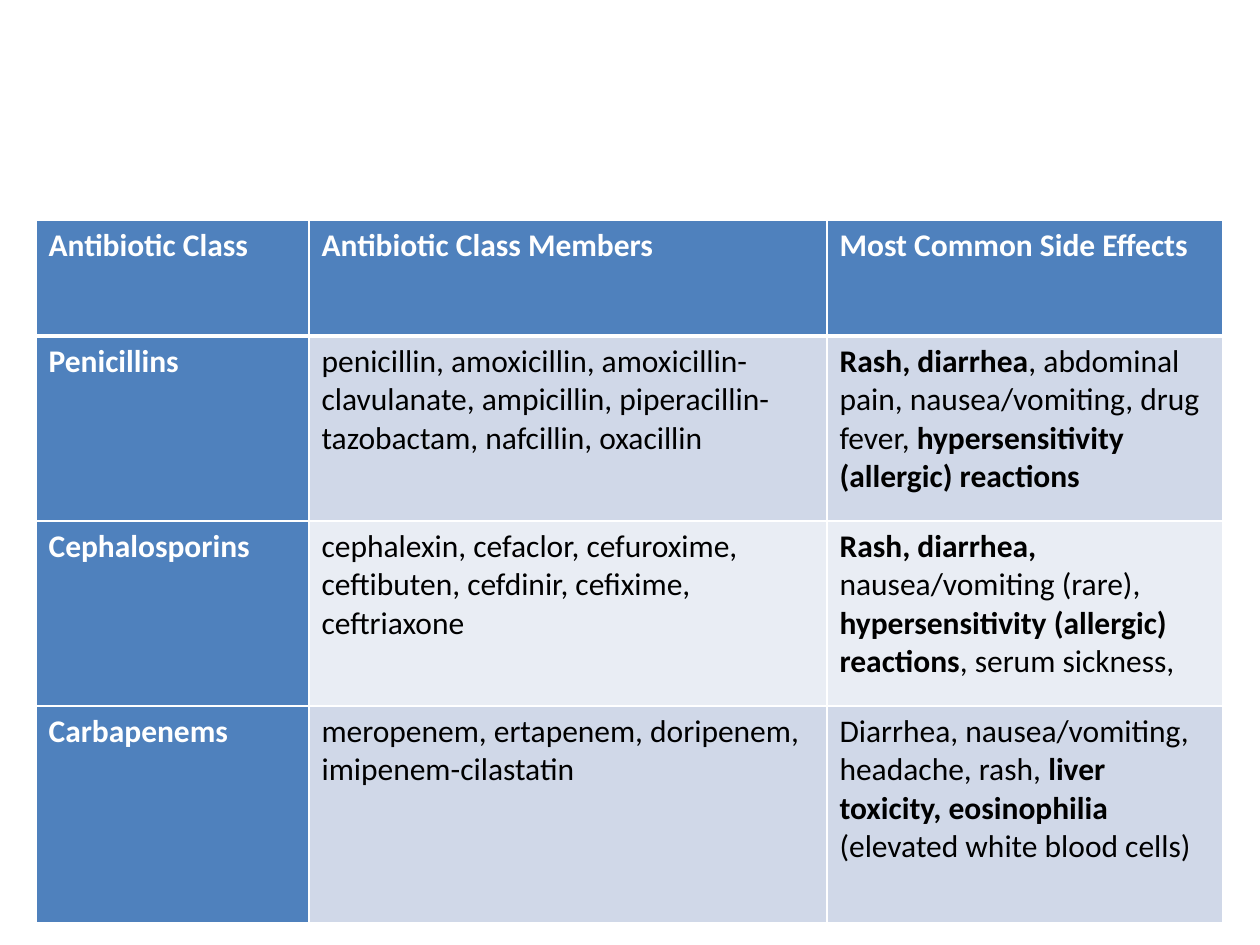
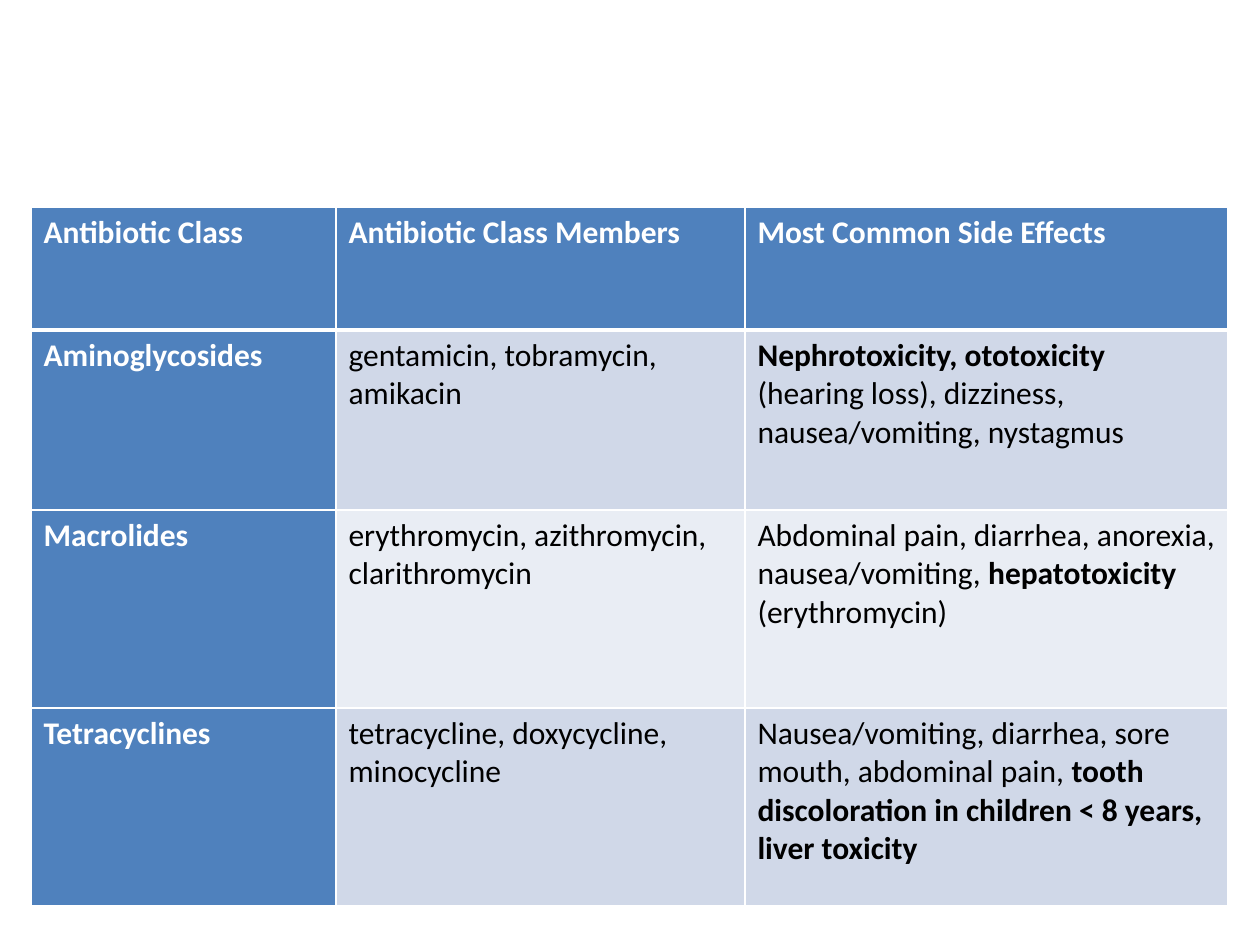
import pptx
import pptx.util
import pptx.dml.color
import pptx.oxml
import pptx.oxml.ns

HUES = {"head": "4F81BD", "odd": "D0D8E8", "even": "E9EDF4",
        "line": "FFFFFF", "light": "FFFFFF", "dark": "000000"}
FONT = {"name": "Calibri", "size": pptx.util.Pt(18)}
HEADS = ("Antibiotic Class", "Antibiotic Class Members", "Most Common Side Effects")

# Text between asterisks is bold.
TABLES = [
    {"left": 36, "top": 220, "cols": (273, 518, 396), "rows": (116, 185, 185, 217),
     "drugs": [
         ("Penicillins",
          "penicillin, amoxicillin, amoxicillin-clavulanate, ampicillin, "
          "piperacillin-tazobactam, nafcillin, oxacillin",
          "*Rash, diarrhea*, abdominal pain, nausea/vomiting, drug fever, "
          "*hypersensitivity (allergic) reactions*"),
         ("Cephalosporins",
          "cephalexin, cefaclor, cefuroxime, ceftibuten, cefdinir, cefixime, "
          " ceftriaxone",
          "*Rash, diarrhea, *nausea/vomiting (rare), "
          "*hypersensitivity (allergic) reactions*, serum sickness,"),
         ("Carbapenems",
          "meropenem, ertapenem, doripenem, imipenem-cilastatin",
          "Diarrhea, nausea/vomiting, headache, rash, "
          "*liver toxicity, eosinophilia *(elevated white blood cells)"),
     ]},
    {"left": 31, "top": 207, "cols": (305, 409, 483), "rows": (123, 180, 198, 198),
     "drugs": [
         ("Aminoglycosides",
          "gentamicin, tobramycin, amikacin",
          "*Nephrotoxicity, ototoxicity *(hearing loss), dizziness, "
          "nausea/vomiting, nystagmus"),
         ("Macrolides",
          "erythromycin, azithromycin, clarithromycin",
          "Abdominal pain, diarrhea, anorexia, nausea/vomiting, "
          "*hepatotoxicity *(erythromycin)"),
         ("Tetracyclines",
          "tetracycline, doxycycline, minocycline",
          "Nausea/vomiting, diarrhea, sore mouth, abdominal pain, "
          "*tooth discoloration in children < 8 years, liver toxicity*"),
     ]},
]


def px(count):
    """Turn pixels, 126 to the inch, into EMU."""
    return pptx.util.Emu(round(count * 914400 / 126))


def edge(cell, row):
    """Draw the cell's borders, thicker under the header row."""
    props = cell._tc.get_or_add_tcPr()
    thick = {"T": 3 if row == 1 else 1, "B": 3 if row == 0 else 1}
    for spot, side in enumerate("LRTB"):
        width = pptx.util.Pt(thick.get(side, 1))
        props.insert(spot, pptx.oxml.parse_xml(
            f'<a:ln{side} {pptx.oxml.ns.nsdecls("a")} w="{width}"><a:solidFill>'
            f'<a:srgbClr val="{HUES["line"]}"/></a:solidFill></a:ln{side}>'))


deck = pptx.Presentation()
deck.slide_width, deck.slide_height = px(1260), px(945)

for plan in TABLES:
    slide = deck.slides.add_slide(deck.slide_layouts[6])
    cols, rows = plan["cols"], plan["rows"]
    grid = slide.shapes.add_table(len(rows), len(cols), px(plan["left"]), px(plan["top"]),
                                  px(sum(cols)), px(sum(rows))).table
    grid.first_col = True
    for col, width in zip(grid.columns, cols):
        col.width = px(width)
    for line, height in zip(grid.rows, rows):
        line.height = px(height)

    for row, texts in enumerate([HEADS] + plan["drugs"]):
        for col, text in enumerate(texts):
            cell = grid.cell(row, col)
            label = row == 0 or col == 0
            band = "head" if label else "odd" if row % 2 else "even"
            cell.fill.solid()
            cell.fill.fore_color.rgb = pptx.dml.color.RGBColor.from_string(HUES[band])
            edge(cell, row)
            for part, words in enumerate(text.split("*")):
                if not words:
                    continue
                run = cell.text_frame.paragraphs[0].add_run()
                run.text = words
                for key, value in FONT.items():
                    setattr(run.font, key, value)
                run.font.bold = label or part % 2 == 1
                run.font.color.rgb = pptx.dml.color.RGBColor.from_string(
                    HUES["light" if label else "dark"])

deck.save("out.pptx")
